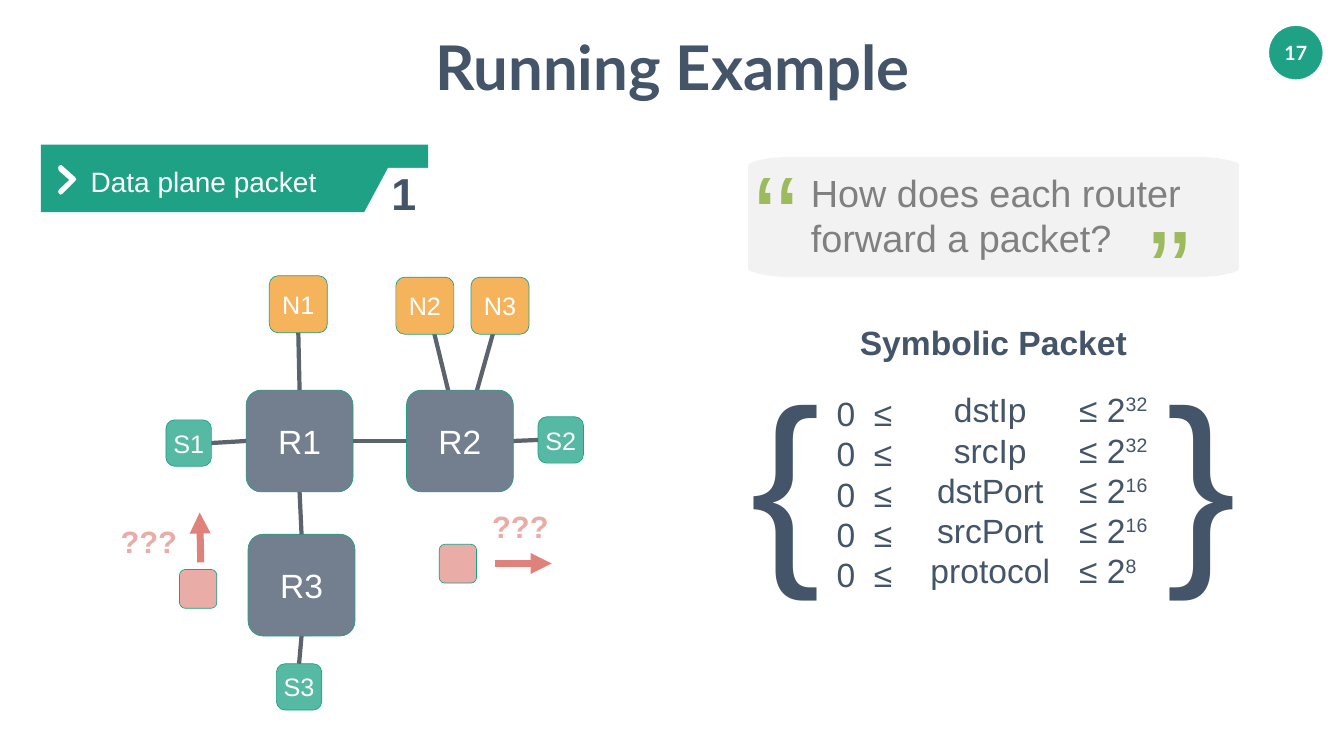
"""Build the "Running Example" slide about symbolic data plane packets."""
import dataclasses
import math

import pptx
import pptx.dml.color
import pptx.enum.dml
import pptx.enum.shapes
import pptx.enum.text
import pptx.oxml
import pptx.oxml.ns
import pptx.util

Pt = pptx.util.Pt
ALIGN = pptx.enum.text.PP_ALIGN
ANCHOR = pptx.enum.text.MSO_ANCHOR
SHAPE = pptx.enum.shapes.MSO_SHAPE
TOP, LEFT, BOTTOM, RIGHT = range(4)


@dataclasses.dataclass(frozen=True)
class Theme:
    """Colours, fonts and type sizes of the slide."""
    green: str = "1EA185"
    white: str = "FFFFFF"
    ink: str = "445469"
    link: str = "5C636C"
    router: str = "737F8E"
    network: str = "F5B45C"
    server: str = "56B9A3"
    packet: str = "E9ACA7"
    arrow: str = "DE827B"
    card: str = "F2F2F2"
    quote: str = "808080"
    quote_mark: str = "9BBB5C"
    body_font: str = "Arial"
    title_font: str = "Lato"
    number_size: float = 28
    node_size: float = 36
    banner_size: float = 40
    question_size: float = 44
    text_size: float = 48
    quote_size: float = 54
    step_size: float = 64
    title_size: float = 88
    mark_size: float = 166
    brace_size: float = 300


THEME = Theme()


def rgb(value):
    """Return a colour from its hexadecimal value."""
    return pptx.dml.color.RGBColor.from_string(value)


def write_text(shape, text, *, size, color=THEME.ink, font=THEME.body_font, bold=False,
               align=ALIGN.LEFT, anchor=ANCHOR.TOP, inset=3.6, wrap=False,
               line_spacing=None, tracking=None):
    """Write text into a shape; a newline starts a paragraph, a caret a superscript."""
    frame = shape.text_frame
    frame.word_wrap = wrap
    frame.vertical_anchor = anchor
    frame.margin_left = frame.margin_right = Pt(inset)
    frame.margin_top = frame.margin_bottom = Pt(inset)
    for index, line in enumerate(text.split("\n")):
        paragraph = frame.add_paragraph() if index else frame.paragraphs[0]
        paragraph.alignment = align
        paragraph.line_spacing = line_spacing
        for level, part in enumerate(line.split("^")):
            run = paragraph.add_run()
            run.text = part
            run.font.name, run.font.size, run.font.bold = font, Pt(size), bold
            run.font.color.rgb = rgb(color)
            if level:
                run._r.get_or_add_rPr().set("baseline", "32000")
            if tracking:
                run._r.get_or_add_rPr().set("spc", str(tracking * 100))


def add_text(shapes, text, left, top, width, height, **text_format):
    """Add a text box."""
    box = shapes.add_textbox(Pt(left), Pt(top), Pt(width), Pt(height))
    write_text(box, text, **text_format)
    return box


def paint(shape, fill, line=None, line_width=1):
    """Give a shape a flat fill and an optional outline."""
    shape.shadow.inherit = False
    shape.fill.solid()
    shape.fill.fore_color.rgb = rgb(fill)
    if line:
        shape.line.color.rgb = rgb(line)
        shape.line.width = Pt(line_width)
    else:
        shape.line.fill.background()


def add_block(shapes, kind, left, top, width, height, fill, line=None, radius=None, line_width=1):
    """Add a painted preset shape."""
    shape = shapes.add_shape(kind, Pt(left), Pt(top), Pt(width), Pt(height))
    if radius:
        shape.adjustments[0] = radius
    paint(shape, fill, line, line_width)
    return shape


def add_outline(shapes, left, top, points, fill):
    """Add a closed polygon whose points are relative to left and top."""
    placed = [(left + x, top + y) for x, y in points]
    builder = shapes.build_freeform(*placed[0], scale=Pt(1))
    builder.add_line_segments(placed[1:], close=True)
    paint(builder.convert_to_shape(), fill)


def add_line(shapes, start, end, color, width, arrow=False):
    """Add a straight connector, with an arrowhead at its end if asked."""
    line = shapes.add_connector(pptx.enum.shapes.MSO_CONNECTOR.STRAIGHT,
                                *(Pt(value) for value in (*start, *end)))
    line.line.color.rgb = rgb(color)
    line.line.width = Pt(width)
    if arrow:
        head = pptx.oxml.parse_xml(f'<a:tailEnd {pptx.oxml.ns.nsdecls("a")} type="triangle"/>')
        line.line._get_or_add_ln().append(head)
    effects = pptx.oxml.parse_xml(f'<a:effectLst {pptx.oxml.ns.nsdecls("a")}/>')
    line._element.spPr.append(effects)
    return line


def header(shapes, left, top, width, height):
    """Place the title in its box and the page number at the right."""
    add_text(shapes, "Running Example", left, top, width, height, size=THEME.title_size,
             font=THEME.title_font, bold=True, align=ALIGN.CENTER)
    badge = add_block(shapes, SHAPE.OVAL, left + 1228.3, top - 0.8, 75.6, 75.6,
                      THEME.green, THEME.green, line_width=0.5)
    write_text(badge, "17", size=THEME.number_size, color=THEME.white, font=THEME.title_font,
               bold=True, align=ALIGN.CENTER, anchor=ANCHOR.MIDDLE)


def banner(shapes, left, top, width, height):
    """Place the section banner with its notch, chevron and step number."""
    add_block(shapes, SHAPE.RECTANGLE, left, top, width, height, THEME.green)
    notch = [(36, 0), (0, 67.7), (95, 67.7), (95, 0)]
    add_outline(shapes, left + width - 93.6, top + 33.1, notch, THEME.white)
    chevron = [(1.4, 35.3), (16.6, 21.6), (1.4, 7.9), (0, 4.3), (0.7, 1.4), (2.9, 0), (5, 0.4),
               (24.5, 17.3), (25.9, 20.2), (24.5, 23.8), (5.8, 41), (3, 42), (0.7, 40.3), (0, 38)]
    add_outline(shapes, left + 24.5, top + 29, chevron, THEME.white)
    add_text(shapes, "Data plane packet", left + 62.6, top + 15.1, 427, 77.8, wrap=True,
             size=THEME.banner_size, color=THEME.white, inset=8.6, line_spacing=1.1)
    add_text(shapes, "1", left + 493.2, top + 22.3, 46.8, 77.8, size=THEME.step_size,
             bold=True, align=ALIGN.RIGHT, inset=7.2, wrap=True)


def topology(shapes, left, top):
    """Place the routers, networks and servers, and link them."""
    kinds = {"N": (82.8, 81.4, THEME.network, 0.152, THEME.node_size),
             "R": (152.6, 145.4, THEME.router, 0.148, THEME.text_size),
             "S": (64.8, 66.2, THEME.server, 0.191, THEME.node_size)}
    places = {"N1": (147.5, 0), "N2": (328.2, 2), "N3": (435.5, 2),
              "R1": (114.4, 163.3), "R2": (343.3, 163.3), "R3": (117.2, 369.2),
              "S1": (0, 205.8), "S2": (531.2, 201.4), "S3": (157.6, 554.2)}
    slanted = [((369.2, 25.8), (416.8, 220.9)), ((481.6, 30.1), (426.8, 224.5))]
    links = [("N1", BOTTOM, "R1", TOP), ("R1", RIGHT, "R2", LEFT), ("S1", RIGHT, "R1", LEFT),
             ("R2", RIGHT, "S2", LEFT), ("R1", BOTTOM, "R3", TOP), ("R3", BOTTOM, "S3", TOP)]
    for (x1, y1), (x2, y2) in slanted:
        add_line(shapes, (left + x1, top + y1), (left + x2, top + y2), THEME.link, 6)
    nodes = {}
    for name, (x, y) in places.items():
        width, height, fill, radius, size = kinds[name[0]]
        nodes[name] = add_block(shapes, SHAPE.ROUNDED_RECTANGLE, left + x, top + y, width, height,
                                fill, THEME.green, radius)
        write_text(nodes[name], name, size=size, color=THEME.white,
                   align=ALIGN.CENTER, anchor=ANCHOR.MIDDLE)
    for source, source_side, target, target_side in links:
        line = add_line(shapes, (left, top), (left, top), THEME.link, 6)
        line.begin_connect(nodes[source], source_side)
        line.end_connect(nodes[target], target_side)


def moving_packet(shapes, left, top, start, end, label):
    """Place a packet, the arrow of its move and its question marks."""
    add_block(shapes, SHAPE.ROUNDED_RECTANGLE, left, top, 53.3, 55.4,
              THEME.packet, THEME.green, 0.152)
    add_line(shapes, (left + start[0], top + start[1]), (left + end[0], top + end[1]),
             THEME.arrow, 10, arrow=True)
    add_text(shapes, "???", left + label[0], top + label[1], 88.6, 60.5,
             size=THEME.question_size, color=THEME.packet, bold=True)


def quote_card(shapes, left, top, width, height):
    """Place the question on a card with flat elliptical corners."""
    radius_x, radius_y, steps = 68, 13, 8
    corners = [(width - radius_x, height - radius_y), (radius_x, height - radius_y),
               (radius_x, radius_y), (width - radius_x, radius_y)]
    points = []
    for quarter, (x, y) in enumerate(corners):
        for step in range(steps + 1):
            angle = math.pi / 2 * (quarter + step / steps)
            points.append((x + radius_x * math.cos(angle), y + radius_y * math.sin(angle)))
    add_outline(shapes, left, top, points, THEME.card)
    add_text(shapes, "How does each router\nforward a packet?", left + 82.8, top + 10.8,
             640.8, 145.4, size=THEME.quote_size, color=THEME.quote, inset=7.2, wrap=True)
    for mark, x, y, mark_width, mark_height in (("‘‘", -29.5, -28.1, 141.1, 198.7),
                                                ("’’", 547.9, 49, 108.7, 216)):
        add_text(shapes, mark, left + x, top + y, mark_width, mark_height, wrap=True, inset=7.2,
                 size=THEME.mark_size, color=THEME.quote_mark, align=ALIGN.CENTER, tracking=-3)


def symbolic_packet(shapes, left, top):
    """Place the heading, the braces and one row of bounds for each field."""
    add_text(shapes, "Symbolic Packet", left + 156.2, top, 389.5, 65.5,
             size=THEME.text_size, bold=True)
    for brace, x in (("{", 0), ("}", 594)):
        add_text(shapes, brace, left + x, top + 36.7, 108.7, 367.2, size=THEME.brace_size)
    fields = [("dstIp", 32), ("srcIp", 32), ("dstPort", 16), ("srcPort", 16), ("protocol", 8)]
    for row, (field, bits) in enumerate(fields):
        y = top + 96.5 + row * 57.6
        add_text(shapes, "0  ≤", left + 123, y + 5.7, 100, 65.5, size=THEME.text_size, wrap=True)
        add_text(shapes, field, left + 256, y, 180, 65.5, size=THEME.text_size,
                 align=ALIGN.CENTER)
        add_text(shapes, f"≤ 2^{bits}", left + 469.4, y, 120, 65.5, size=THEME.text_size,
                 wrap=True)


def main():
    """Build and save the slide."""
    presentation = pptx.Presentation()
    presentation.slide_width, presentation.slide_height = Pt(1918.8), Pt(1080)
    slide = presentation.slides.add_slide(presentation.slide_layouts[6])
    shapes = slide.shapes
    header(shapes, 583.9, 38.2, 751.7, 113)
    banner(shapes, 58.3, 206.6, 553, 96.5)
    symbolic_packet(shapes, 1067.8, 455.8)
    topology(shapes.add_group_shape().shapes, 237, 394)
    moving_packet(shapes, 627.1, 777.6, (79.9, 27.4), (160.6, 27.4), (72, -56.2))
    moving_packet(shapes, 256.3, 813.6, (30.3, -10.1), (28.8, -81.4), (-87.8, -70.6))
    quote_card(shapes.add_group_shape().shapes, 1067.8, 223.9, 701.3, 172.1)
    presentation.save("out.pptx")


if __name__ == "__main__":
    main()
